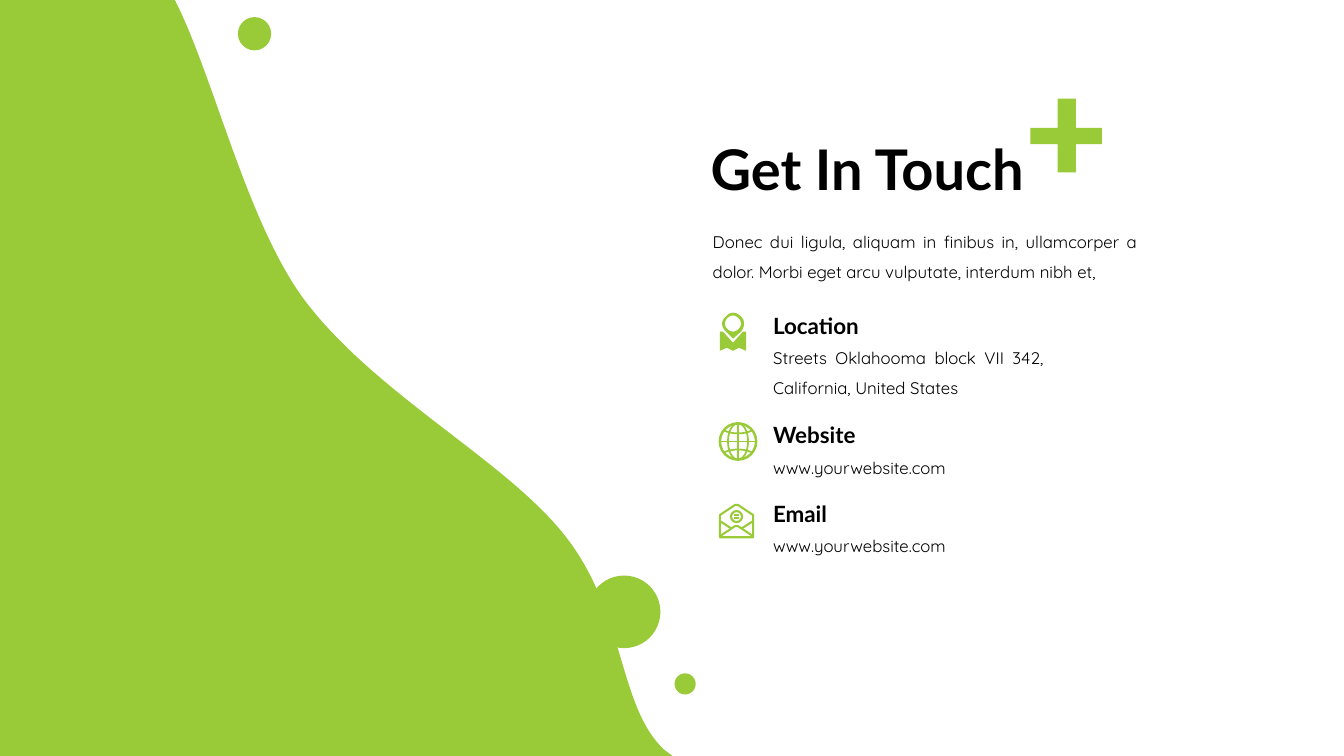
from lxml import etree
from pptx import Presentation
from pptx import util as u
from pptx.dml.color import RGBColor
from pptx.enum import shapes, text
from pptx.oxml.ns import qn

GREEN = "99CB38"
BLACK = "000000"
LEFT, JUST = text.PP_ALIGN.LEFT, text.PP_ALIGN.JUSTIFY


def color(code):
    return RGBColor.from_string(code)


def paint(shape, line=0):
    """Fill the shape green, or only outline it when a line width is given."""
    shape.shadow.inherit = False
    if line:
        shape.fill.background()
        shape.line.color.rgb = color(GREEN)
        shape.line.width = u.Pt(line)
    else:
        shape.fill.solid()
        shape.fill.fore_color.rgb = color(GREEN)
        shape.line.fill.background()


def oval(slide, x, y, w, h, line=0):
    box = [u.Inches(v) for v in (x, y, w, h)]
    paint(slide.shapes.add_shape(shapes.MSO_SHAPE.OVAL, *box), line)


def curve(a, b, c, d, steps=32):
    """Points along a cubic Bezier curve, without its first point."""
    pts = []
    for i in range(1, steps + 1):
        t = i / steps
        s = 1 - t
        parts = (s ** 3, 3 * s * s * t, 3 * s * t * t, t ** 3)
        pts.append(tuple(sum(k * p[n] for k, p in zip(parts, (a, b, c, d)))
                         for n in (0, 1)))
    return pts


def trace(slide, *loops, line=0, close=True):
    """Draw one freeform from lists of points in inches."""
    loops = [[(u.Inches(x), u.Inches(y)) for x, y in loop] for loop in loops]
    form = slide.shapes.build_freeform(*loops[0][0], scale=1.0)
    for i, loop in enumerate(loops):
        if i:
            form.move_to(*loop[0])
        form.add_line_segments(loop[1:], close=close)
    paint(form.convert_to_shape(), line)


def rule(slide, x1, y1, x2, y2, width=1.25):
    ends = [u.Inches(v) for v in (x1, y1, x2, y2)]
    link = slide.shapes.add_connector(shapes.MSO_CONNECTOR.STRAIGHT, *ends)
    link.line.color.rgb = color(GREEN)
    link.line.width = u.Pt(width)
    etree.SubElement(link._element.spPr, qn("a:effectLst"))


def write(slide, words, x, y, w, h, size=12, font="Quicksand", bold=False,
          align=JUST, space=1.5, anchor=text.MSO_ANCHOR.TOP):
    box = slide.shapes.add_textbox(*[u.Inches(v) for v in (x, y, w, h)])
    frame = box.text_frame
    frame.word_wrap = True
    frame.vertical_anchor = anchor
    para = frame.paragraphs[0]
    para.alignment = align
    para.line_spacing = space
    run = para.add_run()
    run.text = words
    run.font.name = font
    run.font.size = u.Pt(size)
    run.font.bold = bold
    run.font.color.rgb = color(BLACK)


def wave(slide):
    edge = [(6.67, 7.5), (6.59, 7.44)]
    for bend in (((6.13, 7.02), (6.2, 6.06), (5.6, 5.31)),
                 ((5.01, 4.56), (3.7, 3.9), (3, 2.95)),
                 ((2.44, 2.17), (2.13, 0.79), (1.74, 0.01))):
        edge += curve(edge[-1], *bend)
    trace(slide, [(1.73, 0), (0, 0), (0, 7.5)] + edge)


def plus(slide):
    trace(slide, [(10.49, 0.98), (10.67, 0.98), (10.67, 1.27), (10.93, 1.27),
                  (10.93, 1.43), (10.67, 1.43), (10.67, 1.71), (10.49, 1.71),
                  (10.49, 1.43), (10.22, 1.43), (10.22, 1.27), (10.49, 1.27)])


def pin(slide):
    head = [(7.27, 3.36), (7.35, 3.29)]
    for bend in (((7.39, 3.24), (7.39, 3.18), (7.35, 3.14)),
                 ((7.3, 3.09), (7.24, 3.09), (7.2, 3.14)),
                 ((7.15, 3.18), (7.15, 3.24), (7.2, 3.29))):
        head += curve(head[-1], *bend, steps=12)
    hole = [(7.27, 3.13)]
    for bend in (((7.23, 3.13), (7.19, 3.17), (7.19, 3.21)),
                 ((7.19, 3.25), (7.23, 3.29), (7.27, 3.29)),
                 ((7.31, 3.29), (7.35, 3.25), (7.35, 3.21)),
                 ((7.35, 3.17), (7.31, 3.13), (7.27, 3.13))):
        hole += curve(hole[-1], *bend, steps=8)
    sheet = [(7.14, 3.29), (7.17, 3.29), (7.27, 3.4), (7.37, 3.29),
             (7.4, 3.29), (7.4, 3.48), (7.33, 3.45), (7.27, 3.48),
             (7.21, 3.45), (7.14, 3.48)]
    trace(slide, head, hole, sheet)


def globe(slide):
    x, y = 7.32, 4.38
    for half, width in ((0.18, 1.75), (0.1, 1.25)):
        oval(slide, x - half, y - 0.18, 2 * half, 0.36, width)
    rule(slide, x - 0.18, y, x + 0.18, y)
    rule(slide, x, y - 0.18, x, y + 0.18)
    for side in (-1, 1):
        end, mid = y + side * 0.11, y + side * 0.07
        start = (x - 0.14, end)
        arc = curve(start, (x - 0.06, mid), (x + 0.06, mid), (x + 0.14, end))
        trace(slide, [start] + arc, line=1.25, close=False)


def letter(slide):
    trace(slide, [(7.14, 5.11), (7.29, 5.01), (7.32, 5.01), (7.47, 5.11),
                  (7.47, 5.33), (7.14, 5.33)], line=1.5)
    trace(slide, [(7.14, 5.32), (7.29, 5.22), (7.32, 5.22), (7.47, 5.32)],
          line=1.5, close=False)
    rule(slide, 7.14, 5.17, 7.25, 5.24, 1.5)
    rule(slide, 7.47, 5.17, 7.36, 5.24, 1.5)
    oval(slide, 7.25, 5.07, 0.11, 0.11, 1.5)
    for y in (5.11, 5.14):
        rule(slide, 7.28, y, 7.33, y)


def contact(slide, name, detail, y, width=2.6, height=0.4):
    write(slide, name, 7.57, y, 2.6, 0.46, size=16, font="Lato", bold=True)
    write(slide, detail, 7.57, y + 0.39, width, height)


def main():
    deck = Presentation()
    deck.slide_width, deck.slide_height = u.Inches(13.33), u.Inches(7.5)
    slide = deck.slides.add_slide(deck.slide_layouts[6])

    wave(slide)
    for x, y, size in ((2.36, 0.17, 0.33), (5.83, 5.71, 0.72),
                       (6.69, 6.68, 0.21)):
        oval(slide, x, y, size, size)
    plus(slide)

    write(slide, "Get In Touch", 6.95, 0.98, 5.08, 1.45, size=40, font="Lato",
          bold=True, align=LEFT, space=0.9, anchor=text.MSO_ANCHOR.MIDDLE)
    write(slide, "Donec dui ligula, aliquam in finibus in, ullamcorper a "
          "dolor. Morbi eget arcu vulputate, interdum nibh et,",
          6.97, 2.15, 4.41, 0.71)

    pin(slide)
    contact(slide, "Location", "Streets Oklahooma block VII 342, "
            "California, United States", 2.91, 2.88, 0.71)
    globe(slide)
    contact(slide, "Website", "www.yourwebsite.com", 4)
    letter(slide)
    contact(slide, "Email", "www.yourwebsite.com", 4.78)

    deck.save("out.pptx")


if __name__ == "__main__":
    main()
